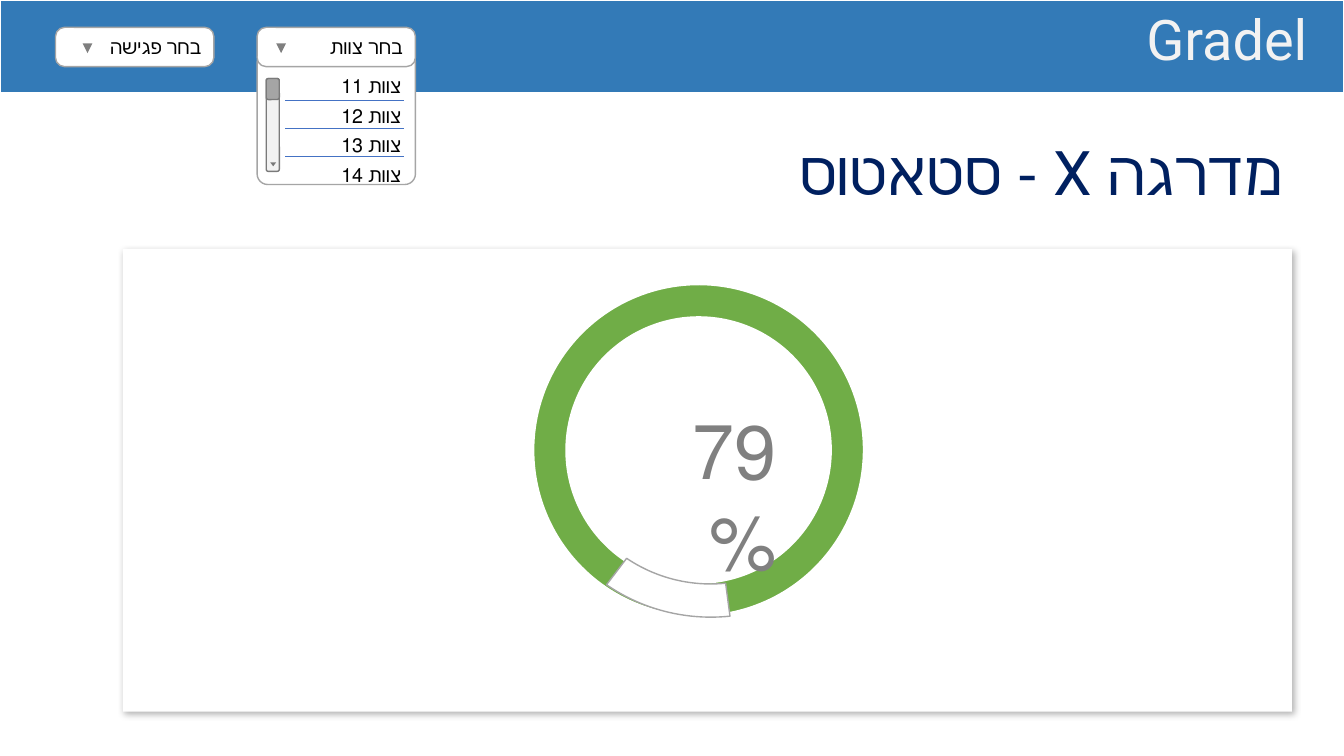
from lxml.etree import SubElement
from pptx import Presentation
from pptx.dml.color import RGBColor
from pptx.enum.shapes import MSO_CONNECTOR, MSO_SHAPE
from pptx.enum.text import MSO_ANCHOR, MSO_AUTO_SIZE, PP_ALIGN
from pptx.oxml.ns import qn
from pptx.util import Cm, Pt

WHITE = RGBColor(0xFF, 0xFF, 0xFF)
BLACK = RGBColor(0, 0, 0)
BAND_BLUE = RGBColor(0x33, 0x7A, 0xB7)
LINE_BLUE = RGBColor(0x44, 0x72, 0xC4)
NAVY = RGBColor(0x00, 0x20, 0x60)
GREEN = RGBColor(0x70, 0xAD, 0x47)
PALE = RGBColor(0xF2, 0xF2, 0xF2)
SILVER = RGBColor(0xA5, 0xA5, 0xA5)
GRAY = RGBColor(0x80, 0x80, 0x80)
DARK_GRAY = RGBColor(0x7A, 0x7A, 0x7A)

# Content; positions are in centimetres
APP_NAME = "Gradel"
TITLE = "מדרגה X - סטאטוס"
PERCENT = "79%"
TEAMS = ["צוות 11", "צוות 12", "צוות 13", "צוות 14"]
DROPDOWNS = [("בחר פגישה", 1.4, 2.08), ("בחר צוות", 6.48, 6.96)]  # label, left, arrow left

SLIDE_W, SLIDE_H = 33.87, 19.05
DROP_TOP, DROP_W, DROP_H = 0.69, 3.99, 0.99
ARROW_TOP, ARROW_SIZE = 1.09, 0.25
LIST_LEFT, LIST_TOP, LIST_H = 6.48, 1.3, 3.35
ITEM_LEFT, ITEM_TOP, ITEM_STEP = 8.31, 1.75, 0.74
RULE_LEFT, RULE_RIGHT, RULE_TOP, RULE_STEP = 7.19, 10.19, 2.54, 0.7
SCROLL_LEFT, SCROLL_TOP = 6.71, 1.98


def write(s, text, size, color, wrap=True):
    """Put one right-to-left line of text into a shape."""
    tf = s.text_frame
    tf.text = text
    tf.word_wrap = wrap
    p = tf.paragraphs[0]
    p.alignment = PP_ALIGN.RIGHT
    p._p.get_or_add_pPr().set("rtl", "1")
    p.font.size = Pt(size)
    p.font.name = "Roboto"
    p.font.color.rgb = color
    return tf


def add_text(box, text, size, color, wrap=False):
    s = slide.shapes.add_textbox(*map(Cm, box))
    write(s, text, size, color, wrap).auto_size = MSO_AUTO_SIZE.SHAPE_TO_FIT_TEXT


def add_box(kind, box, fill, line=None, width=1, adj=(), rotation=0):
    s = slide.shapes.add_shape(kind, *map(Cm, box))
    s.shadow.inherit = False
    s.fill.solid()
    s.fill.fore_color.rgb = fill
    if line is None:
        s.line.fill.background()
    else:
        s.line.color.rgb = line
        s.line.width = Pt(width)
    for i, value in enumerate(adj):
        s.adjustments[i] = value
    s.rotation = rotation
    return s


def add_arrow(box):
    """Downward triangle in half-transparent black."""
    s = add_box(MSO_SHAPE.ISOSCELES_TRIANGLE, box, BLACK, rotation=180)
    clr = s._element.spPr.find(qn("a:solidFill"))[0]
    SubElement(clr, qn("a:alpha"), val="50000")


def add_rule(y):
    c = slide.shapes.add_connector(MSO_CONNECTOR.STRAIGHT, Cm(RULE_LEFT), Cm(y),
                                   Cm(RULE_RIGHT), Cm(y))
    c.line.color.rgb = LINE_BLUE
    c.line.width = Pt(0.5)
    SubElement(c._element.spPr, qn("a:effectLst"))


def add_shadow(s):
    effects = s._element.spPr.find(qn("a:effectLst"))
    shadow = SubElement(effects, qn("a:outerShdw"), blurRad=str(Pt(4.5)),
                        dist=str(Pt(2.6)), dir=str(53 * 60000),
                        algn="tl", rotWithShape="0")
    clr = SubElement(shadow, qn("a:srgbClr"), val=str(BLACK))
    SubElement(clr, qn("a:alpha"), val="30000")


prs = Presentation()
prs.slide_width, prs.slide_height = Cm(SLIDE_W), Cm(SLIDE_H)
slide = prs.slides.add_slide(prs.slide_layouts[5])

title = slide.shapes.title
title.left, title.top, title.width, title.height = map(Cm, (19.89, 3.25, 12.7, 2.13))
tf = write(title, TITLE, 44, NAVY, wrap=False)
tf.vertical_anchor = MSO_ANCHOR.TOP
tf.auto_size = MSO_AUTO_SIZE.SHAPE_TO_FIT_TEXT

# Header band
add_box(MSO_SHAPE.RECTANGLE, (0, 0, SLIDE_W, 2.34), BAND_BLUE, WHITE, 1.5)
add_text((28.58, 0, 4.62, 1.96), APP_NAME, 40, PALE, wrap=True)

# Open team list with its scroll bar
add_box(MSO_SHAPE.ROUNDED_RECTANGLE, (LIST_LEFT, LIST_TOP, DROP_W, LIST_H),
        WHITE, SILVER, adj=[0.08])
for i in range(len(TEAMS) - 1):
    add_rule(RULE_TOP + i * RULE_STEP)
for height, fill in [(2.34, PALE), (0.53, SILVER)]:
    add_box(MSO_SHAPE.ROUNDED_RECTANGLE, (SCROLL_LEFT, SCROLL_TOP, 0.33, height),
            fill, DARK_GRAY)
add_arrow((6.81, 4.09, 0.15, 0.1))
for i, team in enumerate(TEAMS):
    add_text((ITEM_LEFT, ITEM_TOP + i * ITEM_STEP, 2.06, 0.86), team, 14, BLACK)

for label, left, arrow_left in DROPDOWNS:
    s = add_box(MSO_SHAPE.ROUNDED_RECTANGLE, (left, DROP_TOP, DROP_W, DROP_H),
                WHITE, SILVER, adj=[0.23])
    write(s, label, 14, BLACK)
    add_arrow((arrow_left, ARROW_TOP, ARROW_SIZE, ARROW_SIZE))

# Status card with the progress ring
card = add_box(MSO_SHAPE.ROUNDED_RECTANGLE, (3.1, 6.27, 29.46, 11.66), WHITE, adj=[0])
add_shadow(card)
add_box(MSO_SHAPE.DONUT, (13.44, 7.16, 8.33, 8.36), GREEN, WHITE, 1.5, [0.1], 187.8)
# Arc angles are stored in 60000ths of a degree, adjustments in 100000ths
add_box(MSO_SHAPE.BLOCK_ARC, (13.67, 6.96, 8.36, 8.81), WHITE, SILVER,
        adj=[164.71 * 0.6, 209.48 * 0.6, 0.1], rotation=277.8)
add_text((15.65, 10.06, 4.17, 2.57), PERCENT, 54, GRAY)

prs.save("out.pptx")
